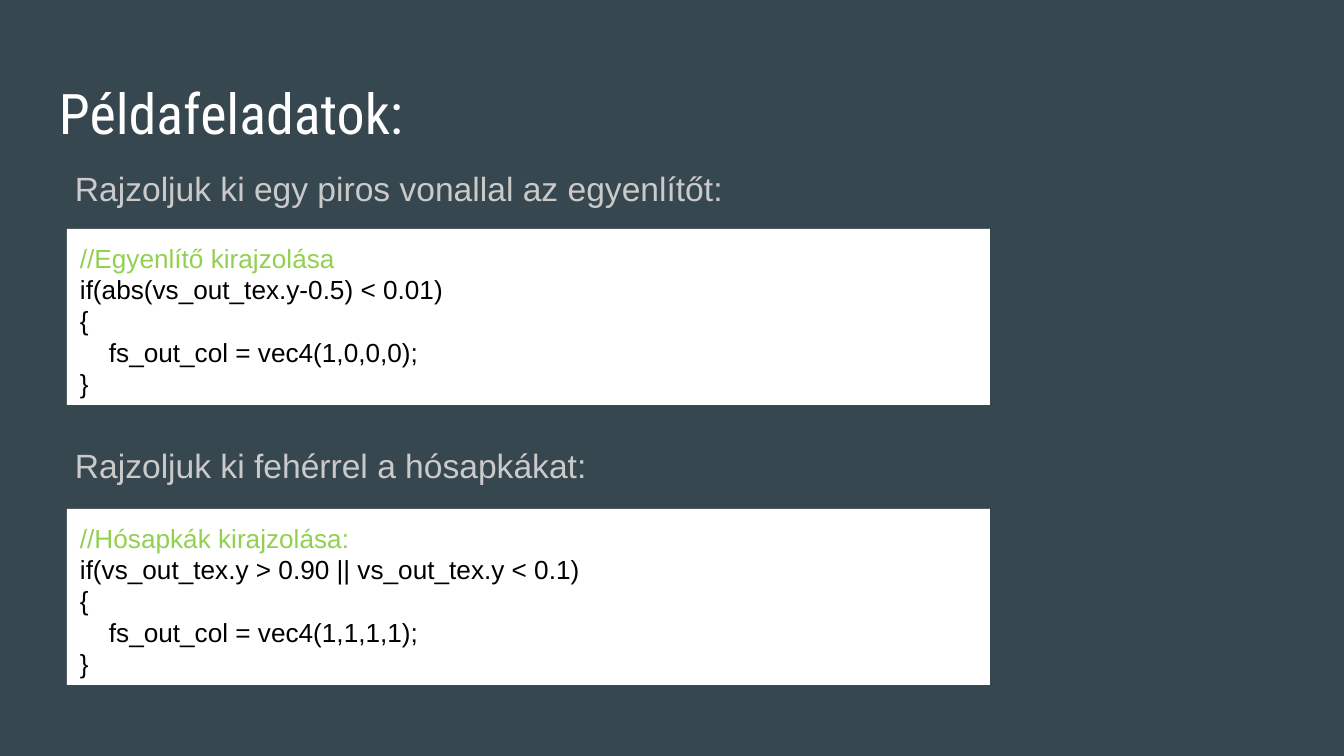
"""Builds the slide of two shader exercises, each a prompt above its code."""
from pptx import Presentation
from pptx import util as u
from pptx.dml.color import RGBColor
from pptx.enum import shapes, text

TITLE = "Példafeladatok:"
EXERCISES = [
    {"prompt": "Rajzoljuk ki egy piros vonallal az egyenlítőt:",
     "prompt_top": 149, "code_top": 229,
     "comment": "//Egyenlítő kirajzolása",
     "condition": "if(abs(vs_out_tex.y-0.5) < 0.01)",
     "body": "fs_out_col = vec4(1,0,0,0);"},
    {"prompt": "Rajzoljuk ki fehérrel a hósapkákat:",
     "prompt_top": 426, "code_top": 509,
     "comment": "//Hósapkák kirajzolása:",
     "condition": "if(vs_out_tex.y > 0.90 || vs_out_tex.y < 0.1)",
     "body": "fs_out_col = vec4(1,1,1,1);"},
]
COLORS = {"background": "37474F", "title": "FFFFFF", "prompt": "CACACA",
          "panel": "FFFFFF", "comment": "92D050", "code": "000000"}
SLIDE_W, SLIDE_H = 1344, 756
TEXT_LEFT, TEXT_W, TEXT_H = 46, 1253, 85
TITLE_TOP = 66
CODE_LEFT, CODE_W, CODE_H = 67, 923, 176
INSET, PROMPT_INDENT, CODE_INDENT = 13, 16, 29


def px(length):
    return u.Emu(round(length * 914400 / 134.4))


def color(name):
    return RGBColor.from_string(COLORS[name])


def fill_text(shape, lines, size, font, spacing=1.0):
    """Write (words, colour name, indent) lines into a shape."""
    frame = shape.text_frame
    frame.word_wrap = True
    frame.auto_size = text.MSO_AUTO_SIZE.NONE
    frame.vertical_anchor = text.MSO_ANCHOR.TOP
    frame.margin_left = frame.margin_right = px(INSET)
    frame.margin_top = frame.margin_bottom = px(INSET)
    for i, (words, color_name, indent) in enumerate(lines):
        line = frame.paragraphs[0] if i == 0 else frame.add_paragraph()
        line.text = words
        line.alignment = text.PP_ALIGN.LEFT
        line.line_spacing = spacing
        line.font.size = u.Pt(size)
        line.font.name = font
        line.font.color.rgb = color(color_name)
        if indent:
            line._p.get_or_add_pPr().set("marL", str(px(indent)))


def add_exercise(slide, exercise):
    prompt = slide.shapes.add_textbox(
        px(TEXT_LEFT), px(exercise["prompt_top"]), px(TEXT_W), px(TEXT_H))
    fill_text(prompt, [(exercise["prompt"], "prompt", PROMPT_INDENT)],
              18, "Arial", 1.15)
    panel = slide.shapes.add_shape(
        shapes.MSO_SHAPE.RECTANGLE, px(CODE_LEFT), px(exercise["code_top"]),
        px(CODE_W), px(CODE_H))
    panel.shadow.inherit = False
    panel.fill.solid()
    panel.fill.fore_color.rgb = color("panel")
    panel.line.fill.background()
    fill_text(panel, [(exercise["comment"], "comment", 0),
                      (exercise["condition"], "code", 0),
                      ("{", "code", 0),
                      (exercise["body"], "code", CODE_INDENT),
                      ("}", "code", 0)], 14, "Arial")


def main():
    deck = Presentation()
    deck.slide_width, deck.slide_height = px(SLIDE_W), px(SLIDE_H)
    slide = deck.slides.add_slide(deck.slide_layouts[5])
    slide.background.fill.solid()
    slide.background.fill.fore_color.rgb = color("background")
    title = slide.shapes.title
    title.left, title.top = px(TEXT_LEFT), px(TITLE_TOP)
    title.width, title.height = px(TEXT_W), px(TEXT_H)
    fill_text(title, [(TITLE, "title", 0)], 30, "Roboto Condensed")
    for exercise in EXERCISES:
        add_exercise(slide, exercise)
    deck.save("out.pptx")


if __name__ == "__main__":
    main()
